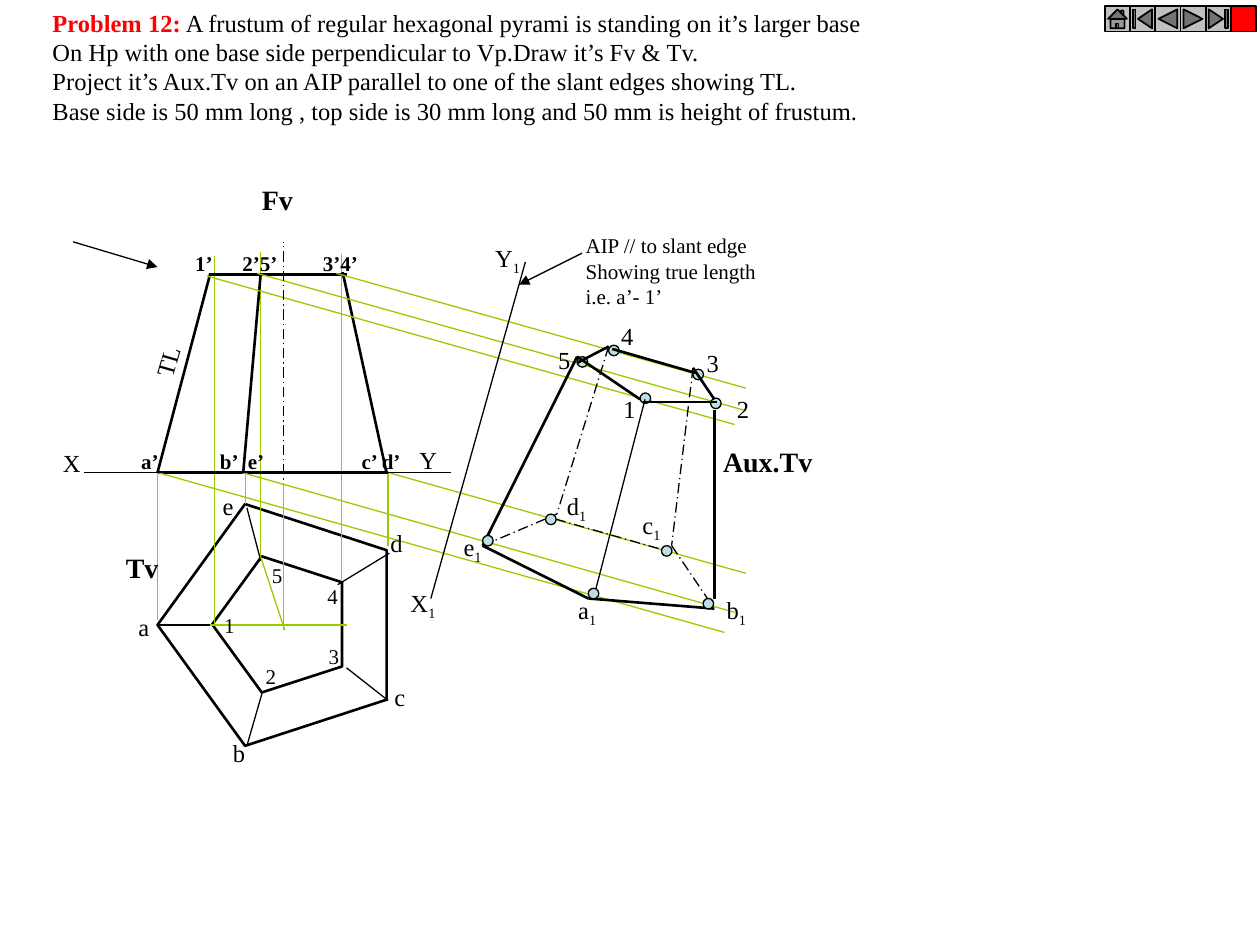
import pptx
import pptx.dml.color
import pptx.enum.dml
import pptx.enum.shapes
import pptx.enum.text
import pptx.oxml
import pptx.oxml.ns
import pptx.util

Pt = pptx.util.Pt
SHAPE = pptx.enum.shapes.MSO_SHAPE
COLORS = {"black": "000000", "white": "FFFFFF", "red": "FF0000",
          "projector": "99CC00", "dot": "BBE0E3", "button": "C0C0C0"}
FRAME_FORMAT = {"word_wrap": False,
                "vertical_anchor": pptx.enum.text.MSO_ANCHOR.TOP,
                "margin_left": Pt(7.2), "margin_right": Pt(7.2),
                "margin_top": Pt(3.6), "margin_bottom": Pt(3.6)}
THICK = 1.5
THIN = 0.75


def rgb(name):
    return pptx.dml.color.RGBColor.from_string(COLORS[name])


def add_element(parent, tag, **attributes):
    element = pptx.oxml.parse_xml(f"<a:{tag} {pptx.oxml.ns.nsdecls('a')}/>")
    for key, value in attributes.items():
        element.set(key, str(value))
    parent.append(element)
    return element


class Drawing:
    font_name = "Times New Roman"

    def __init__(self, slide):
        self.slide = slide

    def format_frame(self, frame, **changes):
        for key, value in {**FRAME_FORMAT, **changes}.items():
            setattr(frame, key, value)

    def add_run(self, paragraph, text, size, color="black", bold=False):
        run = paragraph.add_run()
        run.text = text
        values = {"name": self.font_name, "size": Pt(size), "bold": bold}
        for key, value in values.items():
            setattr(run.font, key, value)
        run.font.color.rgb = rgb(color)
        return run

    def title(self, heading, lines, left, top, width, height, size=14):
        shape = self.slide.shapes.title
        position = {"left": left, "top": top, "width": width, "height": height}
        for key, value in position.items():
            setattr(shape, key, Pt(value))
        frame = shape.text_frame
        self.format_frame(frame, auto_size=pptx.enum.text.MSO_AUTO_SIZE.NONE)
        for index, line in enumerate(lines):
            paragraph = frame.add_paragraph() if index else frame.paragraphs[0]
            paragraph.alignment = pptx.enum.text.PP_ALIGN.LEFT
            if index == 0:
                self.add_run(paragraph, heading, size, "red", True)
            self.add_run(paragraph, line, size)

    def label(self, text, left, top, width, size=14, bold=False, rotation=0, tabs=()):
        """Place text; an underscore starts a subscript."""
        lines = text.split("\n")
        height = 1.2 * size * len(lines) + 7.2
        shape = self.slide.shapes.add_textbox(Pt(left), Pt(top), Pt(width), Pt(height))
        shape.rotation = rotation
        frame = shape.text_frame
        self.format_frame(frame, word_wrap=bool(tabs))
        for index, line in enumerate(lines):
            paragraph = frame.add_paragraph() if index else frame.paragraphs[0]
            if tabs:
                tab_list = add_element(paragraph._p.get_or_add_pPr(), "tabLst")
                for tab in tabs:
                    add_element(tab_list, "tab", pos=int(Pt(tab)), algn="l")
            base, _, subscript = line.partition("_")
            self.add_run(paragraph, base, size, bold=bold)
            if subscript:
                run = self.add_run(paragraph, subscript, size, bold=bold)
                run._r.get_or_add_rPr().set("baseline", "-25000")

    def line(self, x1, y1, x2, y2, weight=THIN, color="black", dashed=False, arrow=False):
        connector = self.slide.shapes.add_connector(
            pptx.enum.shapes.MSO_CONNECTOR.STRAIGHT, Pt(x1), Pt(y1), Pt(x2), Pt(y2))
        connector.line.width = Pt(weight)
        connector.line.color.rgb = rgb(color)
        if dashed:
            connector.line.dash_style = pptx.enum.dml.MSO_LINE.LONG_DASH_DOT
        if arrow:
            add_element(connector.line._get_or_add_ln(), "tailEnd", type="triangle")
        add_element(connector._element.spPr, "effectLst")

    def lines(self, segments, **style):
        for segment in segments:
            self.line(*segment, **style)

    def shape(self, kind, left, top, width, height, fill, weight=THIN, rotation=0):
        shape = self.slide.shapes.add_shape(kind, Pt(left), Pt(top), Pt(width), Pt(height))
        shape.rotation = rotation
        shape.shadow.inherit = False
        shape.fill.solid()
        shape.fill.fore_color.rgb = rgb(fill)
        shape.line.color.rgb = rgb("black")
        shape.line.width = Pt(weight)

    def dots(self, corners):
        for left, top in corners:
            self.shape(SHAPE.OVAL, left, top, 6, 6, "dot")


def main():
    presentation = pptx.Presentation()
    presentation.slide_width, presentation.slide_height = Pt(720), Pt(540)
    drawing = Drawing(presentation.slides.add_slide(presentation.slide_layouts[5]))
    ground = 270  # height of the XY line

    # Problem statement
    drawing.title("Problem 12:", [
        " A frustum of regular hexagonal pyrami is standing on it’s larger base",
        "On Hp with one base side perpendicular to Vp.Draw it’s Fv & Tv.",
        "Project it’s Aux.Tv on an AIP parallel to one of the slant edges showing TL.",
        "Base side is 50 mm long , top side is 30 mm long and 50 mm is height of frustum.",
    ], 22.8, 0.7, 478, 74.2)

    # Top view: both bases and the slant edges
    for box in [(86.4, 291.6, 138.2, 131), (119.5, 319.7, 77.8, 74.2)]:
        drawing.shape(SHAPE.REGULAR_PENTAGON, *box, "white", THICK, 270)
    drawing.lines([
        (90.7, 357.1, 120.2, 357.1), (198, 381.6, 221.8, 400.3),
        (193, 334.1, 222.5, 316.1), (149.8, 396, 141.1, 426.2),
        (141.1, 290.2, 149, 320.4)])

    # Projectors from the top view
    drawing.lines([(120.2, 357.1, 198, 357.1), (149, 318.2, 162.7, 360)], color="projector")
    for x, start, end in [(90, 354.2, ground), (140.4, 288, ground), (221.8, 311.8, ground),
                          (122.4, 356.4, 146.2), (149, 318.2, 144), (195.1, 331.2, 145.4)]:
        drawing.line(x, start, x, end, color="projector")

    # Front view
    drawing.lines([
        (120.2, 157, 198, 157), (120.2, 156.2, 90, ground), (149, 156.2, 139, ground),
        (195.8, 155.5, 221, 270.7), (90, ground, 221.8, ground)], weight=THICK)

    # Projectors to the auxiliary view
    drawing.lines([
        (192.2, 156.2, 426.2, 221.8), (146.9, 156.2, 426.2, 234.7),
        (118.1, 157.7, 419.8, 242.6), (221.8, ground, 426.2, 327.6),
        (138.2, ground, 419.8, 349.9), (90, ground, 414, 361.4)], color="projector")

    # Auxiliary view: visible edges, hidden edges and corner dots
    drawing.dots([(365.8, 224.6), (329.8, 203.8), (406.1, 227.5), (347.8, 197.3), (396, 211)])
    drawing.lines([
        (329.8, 203.8, 275.8, 311.8), (275.8, 311.8, 336.2, 342),
        (336.2, 342, 408.2, 347.8), (408.2, 342, 408.2, 234),
        (329.8, 203.8, 365.8, 228.2), (367.2, 229.7, 409.7, 229.7),
        (408.2, 228.2, 396, 210.2), (397.4, 213.1, 349.9, 199.4),
        (347.8, 198, 329.8, 207.4)], weight=THICK)
    drawing.line(368.6, 228.2, 339.1, 342)
    drawing.lines([
        (275.8, 311.8, 318.2, 293.8), (317.5, 296.6, 383, 315.4),
        (383.8, 311.8, 408.2, 347.8), (347.8, 198, 318.2, 293.8),
        (396, 210.2, 383.8, 311.8)], dashed=True)
    drawing.dots([(275.8, 306), (336.2, 336.2), (401.8, 342), (311.8, 293.8), (378, 311.8)])

    # Reference lines, axis and arrows
    drawing.lines([(48.2, ground, 257.8, ground), (300.2, 149.8, 246.2, 342)])
    drawing.line(162, 282.2, 162, 138.2, dashed=True)
    drawing.line(162, 275.8, 162, 360, color="projector")
    drawing.lines([(41.8, 138.2, 90, 152.6), (332.6, 144.7, 296.6, 162.7)], arrow=True)

    # Names of the views
    for text, left, top, width in [("Fv", 142.6, 100.8, 32.4), ("Tv", 64.8, 311, 33.1),
                                   ("Aux.Tv", 406.1, 250.6, 65.5)]:
        drawing.label(text, left, top, width, size=16, bold=True)

    # Front view points, plane note and true length
    drawing.label("a’\tb’\te’\tc’\td’", 73.6, 252.7, 169, size=12, bold=True,
                  tabs=(45, 61, 126, 137.5))
    drawing.label("1’\t2’5’\t3’4’", 104.4, 139.7, 109.4, size=12, bold=True, tabs=(27, 73))
    drawing.label("AIP // to slant edge\nShowing true length\ni.e. a’- 1’",
                  327.6, 129.6, 112.3, size=12)
    drawing.label("TL", 79.9, 194.4, 31.7, rotation=286.1)

    # Top view inner points
    for text, left, top in [("1", 121, 346.3), ("2", 144.7, 375.8), ("3", 180.7, 364.3),
                            ("4", 180, 329.8), ("5", 148.3, 318.2)]:
        drawing.label(text, left, top, 20.2, size=12)

    # Top view outer points, auxiliary points and reference line ends
    for text, left, top, width in [
            ("a", 72, 346.3, 20.9), ("b", 126, 418.3, 21.6), ("c", 218.2, 385.9, 20.9),
            ("d", 216, 298.1, 21.6), ("e", 120.2, 277.2, 20.9),
            ("1", 349.2, 221.8, 21.6), ("2", 414, 221.8, 21.6), ("3", 396.7, 195.1, 21.6),
            ("4", 347.8, 180, 21.6), ("5", 311.8, 193.7, 21.6),
            ("a_1", 323.3, 336.2, 25.2), ("b_1", 408.2, 336.2, 25.9), ("c_1", 360, 288, 25.2),
            ("d_1", 316.8, 277.2, 25.9), ("e_1", 257.8, 300.2, 25.2),
            ("X", 28.8, 252.7, 24.5), ("Y", 232.6, 250.6, 24.5),
            ("X_1", 227.5, 332.6, 28.8), ("Y_1", 275.8, 135.4, 28.8)]:
        drawing.label(text, left, top, width)

    # Navigation buttons
    buttons = [SHAPE.ACTION_BUTTON_HOME, SHAPE.ACTION_BUTTON_BEGINNING,
               SHAPE.ACTION_BUTTON_BACK_OR_PREVIOUS, SHAPE.ACTION_BUTTON_FORWARD_OR_NEXT,
               SHAPE.ACTION_BUTTON_END, SHAPE.ACTION_BUTTON_CUSTOM]
    for index, kind in enumerate(buttons):
        fill = "red" if kind == SHAPE.ACTION_BUTTON_CUSTOM else "button"
        drawing.shape(kind, 631.4 + 14.4 * index, 3.6, 14.4, 14.4, fill, weight=1)

    presentation.save("out.pptx")


if __name__ == "__main__":
    main()
